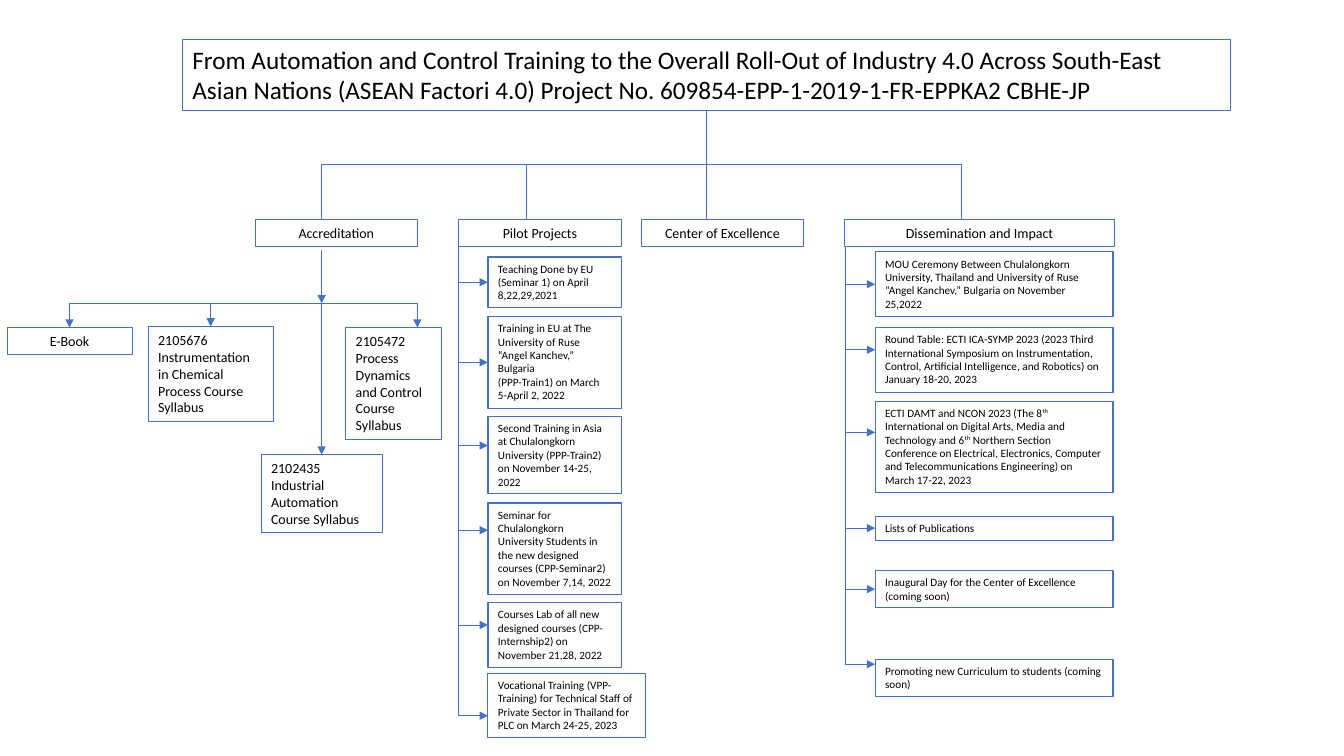
"""Build the ASEAN Factori 4.0 project structure slide."""
from dataclasses import dataclass

from lxml import etree
from pptx import Presentation
from pptx.dml.color import RGBColor
from pptx.enum import shapes, text
from pptx.oxml.ns import qn
from pptx.util import Inches, Pt


@dataclass(frozen=True)
class Theme:
    font: str = "Calibri"
    line: RGBColor = RGBColor(0x44, 0x72, 0xC4)
    ink: RGBColor = RGBColor(0, 0, 0)
    title: int = 18
    heading: int = 10
    item: int = 8
    border: float = 0.75
    link: float = 0.5


THEME = Theme()
TOP, LEFT, BOTTOM = 0, 1, 2

TITLE = ("From Automation and Control Training to the Overall Roll-Out of Industry 4.0 Across "
         "South-East Asian Nations (ASEAN Factori 4.0) Project No. 609854-EPP-1-2019-1-FR-EPPKA2 CBHE-JP")
TITLE_AREA = (1.81, 0.39, 10.39, 0.71)

# name, left, width, drop line position
BRANCHES = [
    ("Accreditation", 2.53, 1.61, 3.19),
    ("Pilot Projects", 4.55, 1.61, 5.22),
    ("Center of Excellence", 6.36, 1.61, 7.01),
    ("Dissemination and Impact", 8.38, 2.67, 9.54),
]

# text, area, alignment, arrow position (None: middle of the box)
COURSES = [
    ("E-Book", (0.07, 3.25, 1.24, 0.27), text.PP_ALIGN.CENTER, None),
    ("2105676 Instrumentation in Chemical Process Course Syllabus",
     (1.47, 3.24, 1.24, 0.94), text.PP_ALIGN.LEFT, None),
    ("2102435\nIndustrial Automation Course Syllabus",
     (2.59, 4.51, 1.2, 0.77), text.PP_ALIGN.LEFT, None),
    ("2105472\nProcess Dynamics and Control Course Syllabus",
     (3.43, 3.25, 0.95, 1.11), text.PP_ALIGN.LEFT, 4.14),
]

# text, top, width, height, arrow position (None: middle of the box)
PILOT_ITEMS = [
    ("Teaching Done by EU (Seminar 1) on April 8,22,29,2021", 2.55, 1.32, 0.5, None),
    ("Training in EU at The University of Ruse “Angel Kanchev,” Bulgaria\n"
     "(PPP-Train1) on March 5-April 2, 2022", 3.14, 1.32, 0.91, None),
    ("Second Training in Asia at Chulalongkorn University (PPP-Train2) on November 14-25, 2022",
     4.13, 1.32, 0.77, 4.42),
    ("Seminar for Chulalongkorn University Students in the new designed courses "
     "(CPP-Seminar2) on November 7,14, 2022", 4.99, 1.32, 0.91, 5.26),
    ("Courses Lab of all new designed courses (CPP-Internship2) on November 21,28, 2022",
     5.98, 1.32, 0.64, 6.2),
    ("Vocational Training (VPP-Training) for Technical Staff of Private Sector in Thailand "
     "for PLC on March 24-25, 2023", 6.68, 1.56, 0.64, 7.1),
]
IMPACT_ITEMS = [
    ("MOU Ceremony Between Chulalongkorn University, Thailand and University of Ruse "
     "“Angel Kanchev,” Bulgaria on November 25,2022", 2.5, 2.36, 0.64, None),
    ("Round Table: ECTI ICA-SYMP 2023 (2023 Third International Symposium on Instrumentation, "
     "Control, Artificial Intelligence, and Robotics) on January 18-20, 2023", 3.25, 2.36, 0.64, 3.47),
    ("ECTI DAMT and NCON 2023 (The 8^th^ International on Digital Arts, Media and Technology "
     "and 6^th^ Northern Section Conference on Electrical, Electronics, Computer and "
     "Telecommunications Engineering) on March 17-22, 2023", 3.98, 2.36, 0.91, 4.29),
    ("Lists of Publications", 5.12, 2.36, 0.24, None),
    ("Inaugural Day for the Center of Excellence (coming soon)", 5.66, 2.36, 0.37, None),
    ("Promoting new Curriculum to students (coming soon)", 6.54, 2.36, 0.37, 6.59),
]
# trunk position, left edge of the boxes, items
LISTS = [(4.55, 4.84, PILOT_ITEMS), (8.38, 8.68, IMPACT_ITEMS)]

BUS_Y, DROP_END, HEADING_TOP, HEADING_HEIGHT = 1.63, 2.17, 2.18, 0.27
COURSE_BUS_Y = 3.01


def add_box(page, words, area, size, align=text.PP_ALIGN.LEFT):
    """Draw an outlined box; text between carets is superscript."""
    box = page.shapes.add_shape(shapes.MSO_SHAPE.RECTANGLE, *map(Inches, area))
    box.shadow.inherit = False
    box.fill.background()
    box.line.color.rgb = THEME.line
    box.line.width = Pt(THEME.border)
    frame = box.text_frame
    frame.word_wrap = True
    frame.vertical_anchor = text.MSO_ANCHOR.TOP
    frame.auto_size = text.MSO_AUTO_SIZE.SHAPE_TO_FIT_TEXT
    for index, line in enumerate(words.split("\n")):
        para = frame.add_paragraph() if index else frame.paragraphs[0]
        para.alignment = align
        for part, piece in enumerate(line.split("^")):
            span = para.add_run()
            span.text = piece
            span.font.name = THEME.font
            span.font.size = Pt(size)
            span.font.color.rgb = THEME.ink
            if part % 2:
                span.font._element.set("baseline", "30000")
    return box


def add_link(page, start, end, arrow=False):
    """Draw a straight line, with an arrowhead at its end if asked."""
    link = page.shapes.add_connector(shapes.MSO_CONNECTOR.STRAIGHT, *map(Inches, start + end))
    link.line.color.rgb = THEME.line
    link.line.width = Pt(THEME.link)
    if arrow:
        etree.SubElement(link.line._get_or_add_ln(), qn("a:tailEnd"), type="triangle")
    etree.SubElement(link._element.spPr, qn("a:effectLst"))
    return link


def add_branches(page):
    """Draw the title, the branch headings and the lines between them."""
    title = add_box(page, TITLE, TITLE_AREA, THEME.title)
    left, top, width, height = TITLE_AREA
    middle = left + width / 2
    add_link(page, (middle, top + height), (middle, BUS_Y)).begin_connect(title, BOTTOM)
    add_link(page, (BRANCHES[0][3], BUS_Y), (BRANCHES[-1][3], BUS_Y))
    for name, left, width, drop in BRANCHES:
        add_box(page, name, (left, HEADING_TOP, width, HEADING_HEIGHT),
                THEME.heading, text.PP_ALIGN.CENTER)
        add_link(page, (drop, BUS_Y), (drop, DROP_END))


def add_courses(page):
    """Draw the accreditation courses below their shared line."""
    trunk = BRANCHES[0][3]
    add_link(page, (trunk, 2.48), (trunk, COURSE_BUS_Y), arrow=True)
    ends = []
    for words, area, align, arrow_x in COURSES:
        box = add_box(page, words, area, THEME.heading, align)
        left, top, width, _ = area
        x = arrow_x or left + width / 2
        link = add_link(page, (x, COURSE_BUS_Y), (x, top), arrow=True)
        if arrow_x is None:
            link.end_connect(box, TOP)
        ends.append(x)
    add_link(page, (ends[0], COURSE_BUS_Y), (ends[-1], COURSE_BUS_Y))


def add_list(page, trunk, left, items):
    """Draw a column of boxes that hang from one vertical line."""
    for words, top, width, height, arrow_y in items:
        box = add_box(page, words, (left, top, width, height), THEME.item)
        y = arrow_y or top + height / 2
        link = add_link(page, (trunk, y), (left, y), arrow=True)
        if arrow_y is None:
            link.end_connect(box, LEFT)
    add_link(page, (trunk, HEADING_TOP + HEADING_HEIGHT), (trunk, y))


def main():
    """Build and save the deck."""
    deck = Presentation()
    deck.slide_width, deck.slide_height = Inches(13.33), Inches(7.5)
    page = deck.slides.add_slide(deck.slide_layouts[6])
    add_branches(page)
    add_courses(page)
    for trunk, left, items in LISTS:
        add_list(page, trunk, left, items)
    deck.save("out.pptx")


if __name__ == "__main__":
    main()
